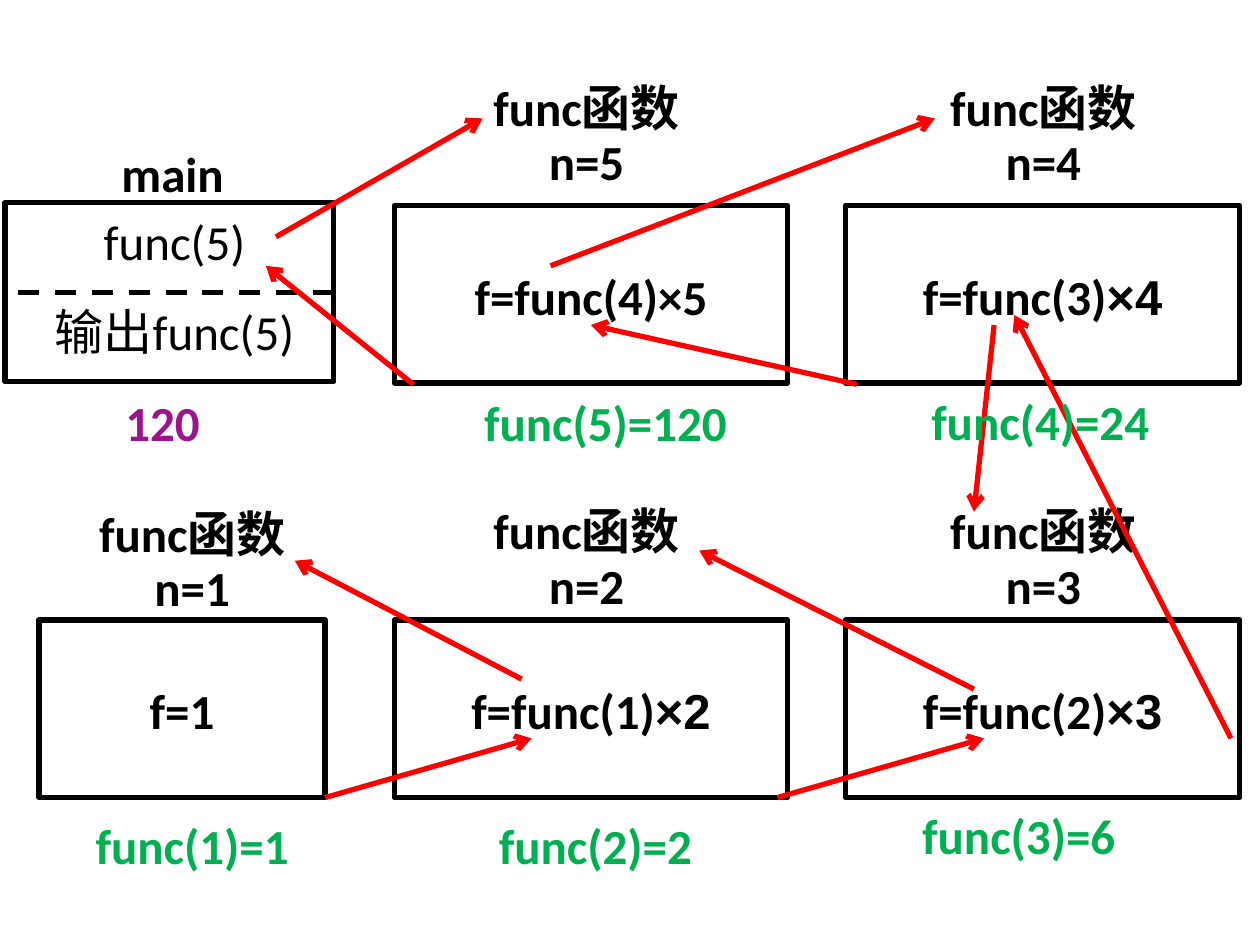
"""Build a slide tracing the recursive factorial calls of func(5)."""
from dataclasses import dataclass

from pptx import Presentation
from pptx.dml.color import RGBColor
from pptx.enum.dml import MSO_LINE
from pptx.enum.shapes import MSO_CONNECTOR, MSO_SHAPE
from pptx.enum.text import MSO_ANCHOR, PP_ALIGN
from pptx.oxml.ns import qn
from pptx.shapes.autoshape import Shape
from pptx.shapes.connector import Connector
from pptx.shapes.shapetree import SlideShapes
from pptx.text.text import TextFrame, _Paragraph as Paragraph
from pptx.util import Inches, Pt
from lxml.etree import SubElement

BLACK = RGBColor(0x00, 0x00, 0x00)
RED = RGBColor(0xFF, 0x00, 0x00)
GREEN = RGBColor(0x00, 0xB0, 0x50)
PURPLE = RGBColor(0x9D, 0x13, 0x8D)

TIGHT = Pt(24)
LOOSE = 1.2
FRAME_HEIGHT = 1.41
TOP_ROW, BOTTOM_ROW = 1.63, 4.92
LEFT_COLUMN, MIDDLE_COLUMN, RIGHT_COLUMN = 0.31, 3.13, 6.71


@dataclass(frozen=True)
class Box:
    left: float
    top: float
    width: float
    height: float


@dataclass(frozen=True)
class Call:
    n: int
    frame: Box
    heading: Box
    body: str
    factor: str = ""


@dataclass(frozen=True)
class Result:
    text: str
    box: Box
    color: RGBColor = GREEN


@dataclass(frozen=True)
class Arrow:
    start: tuple[float, float]
    end: tuple[float, float]


CALLS = [
    Call(5, Box(MIDDLE_COLUMN, TOP_ROW, 3.12, FRAME_HEIGHT), Box(3.13, 0.7, 3.05, 1), "f=func(4)×5"),
    Call(4, Box(RIGHT_COLUMN, TOP_ROW, 3.13, FRAME_HEIGHT), Box(6.72, 0.7, 3.12, 1), "f=func(3)", "×4"),
    Call(2, Box(MIDDLE_COLUMN, BOTTOM_ROW, 3.12, FRAME_HEIGHT), Box(3.13, 4.06, 3.05, 0.92), "f=func(1)", "×2"),
    Call(3, Box(RIGHT_COLUMN, BOTTOM_ROW, 3.13, FRAME_HEIGHT), Box(6.72, 4.06, 3.12, 0.84), "f=func(2)", "×3"),
    Call(1, Box(LEFT_COLUMN, BOTTOM_ROW, 2.27, FRAME_HEIGHT), Box(0, 4.08, 3.05, 0.84), "f=1"),
]

ARROWS = [
    Arrow((2.19, 1.88), (3.83, 0.94)),
    Arrow((4.37, 2.11), (7.42, 0.94)),
    Arrow((7.89, 2.58), (7.73, 4.06)),
    Arrow((7.73, 5.47), (5.55, 4.37)),
    Arrow((4.14, 5.39), (2.34, 4.45)),
    Arrow((2.58, 6.33), (4.22, 5.86)),
    Arrow((6.17, 6.33), (7.81, 5.86)),
    Arrow((9.77, 5.86), (8.05, 2.5)),
    Arrow((6.8, 3.05), (4.69, 2.58)),
    Arrow((3.28, 3.05), (2.11, 2.11)),
]

RESULTS = [
    Result("func(1)=1", Box(0, 6.56, 3.05, 0.62)),
    Result("func(2)=2", Box(3.2, 6.56, 3.05, 0.62)),
    Result("func(3)=6", Box(6.56, 6.48, 3.05, 0.63)),
    Result("func(4)=24", Box(6.73, 3.19, 3.05, 0.62)),
    Result("func(5)=120", Box(3.28, 3.2, 3.05, 0.62)),
    Result("120", Box(0.39, 3.2, 1.8, 0.47), PURPLE),
]


def inches(box: Box) -> list[Inches]:
    return [Inches(length) for length in (box.left, box.top, box.width, box.height)]


def format_paragraph(paragraph: Paragraph, color: RGBColor, bold: bool,
                     spacing: float | Pt) -> None:
    paragraph.alignment = PP_ALIGN.CENTER
    paragraph.line_spacing = spacing
    paragraph.font.name = "Calibri"
    paragraph.font.size = Pt(28)
    paragraph.font.bold = bold
    paragraph.font.color.rgb = color


def add_label(shapes: SlideShapes, box: Box, lines: list[str], color: RGBColor = BLACK,
              bold: bool = True, spacing: float | Pt = TIGHT, gap: float = 7) -> TextFrame:
    label = shapes.add_textbox(*inches(box)).text_frame
    label.word_wrap = True
    label.text = "\n".join(lines)
    for paragraph in label.paragraphs:
        format_paragraph(paragraph, color, bold, spacing)
    for paragraph in label.paragraphs[1:]:
        paragraph.space_before = Pt(gap)
    return label


def add_frame(shapes: SlideShapes, box: Box) -> Shape:
    frame = shapes.add_shape(MSO_SHAPE.RECTANGLE, *inches(box))
    frame.shadow.inherit = False
    frame.fill.background()
    frame.line.color.rgb = BLACK
    frame.line.width = Pt(3)
    return frame


def add_line(shapes: SlideShapes, course: Arrow, color: RGBColor) -> Connector:
    ends = [Inches(length) for length in (*course.start, *course.end)]
    line = shapes.add_connector(MSO_CONNECTOR.STRAIGHT, *ends)
    line.line.color.rgb = color
    line.line.width = Pt(3)
    SubElement(line.element.spPr, qn("a:effectLst"))
    return line


def add_arrow(shapes: SlideShapes, course: Arrow) -> None:
    outline = add_line(shapes, course, RED).line
    SubElement(outline._get_or_add_ln(), qn("a:tailEnd"), type="arrow")


def add_main(shapes: SlideShapes) -> None:
    frame = add_frame(shapes, Box(0.04, 1.61, 2.61, 1.42))
    add_label(shapes, Box(0.08, 1.63, 2.61, 1.42), ["func(5)", "输出func(5)"],
              bold=False, spacing=1.0, gap=18)
    add_label(shapes, Box(0.55, 1, 1.64, 0.7), ["main"], spacing=LOOSE)
    divider = add_line(shapes, Arrow((2.65, 2.32), (0.08, 2.32)), BLACK)
    divider.line.dash_style = MSO_LINE.DASH
    divider.begin_connect(frame, 3)


def add_call(shapes: SlideShapes, call: Call) -> None:
    content = add_frame(shapes, call.frame).text_frame
    content.word_wrap = True
    content.vertical_anchor = MSO_ANCHOR.TOP
    content.margin_top = Inches(0.39)
    formula = content.paragraphs[0]
    formula.add_run().text = call.body
    if call.factor:
        factor = formula.add_run()
        factor.text = call.factor
        factor.font.name = "Arial"
    format_paragraph(formula, BLACK, True, LOOSE)
    add_label(shapes, call.heading, ["func函数", f"n={call.n}"])


def main() -> None:
    deck = Presentation()
    deck.slide_width, deck.slide_height = Inches(10), Inches(7.5)
    shapes = deck.slides.add_slide(deck.slide_layouts[6]).shapes
    add_main(shapes)
    for call in CALLS:
        add_call(shapes, call)
    for course in ARROWS:
        add_arrow(shapes, course)
    for result in RESULTS:
        add_label(shapes, result.box, [result.text], result.color)
    deck.save("out.pptx")


if __name__ == "__main__":
    main()
